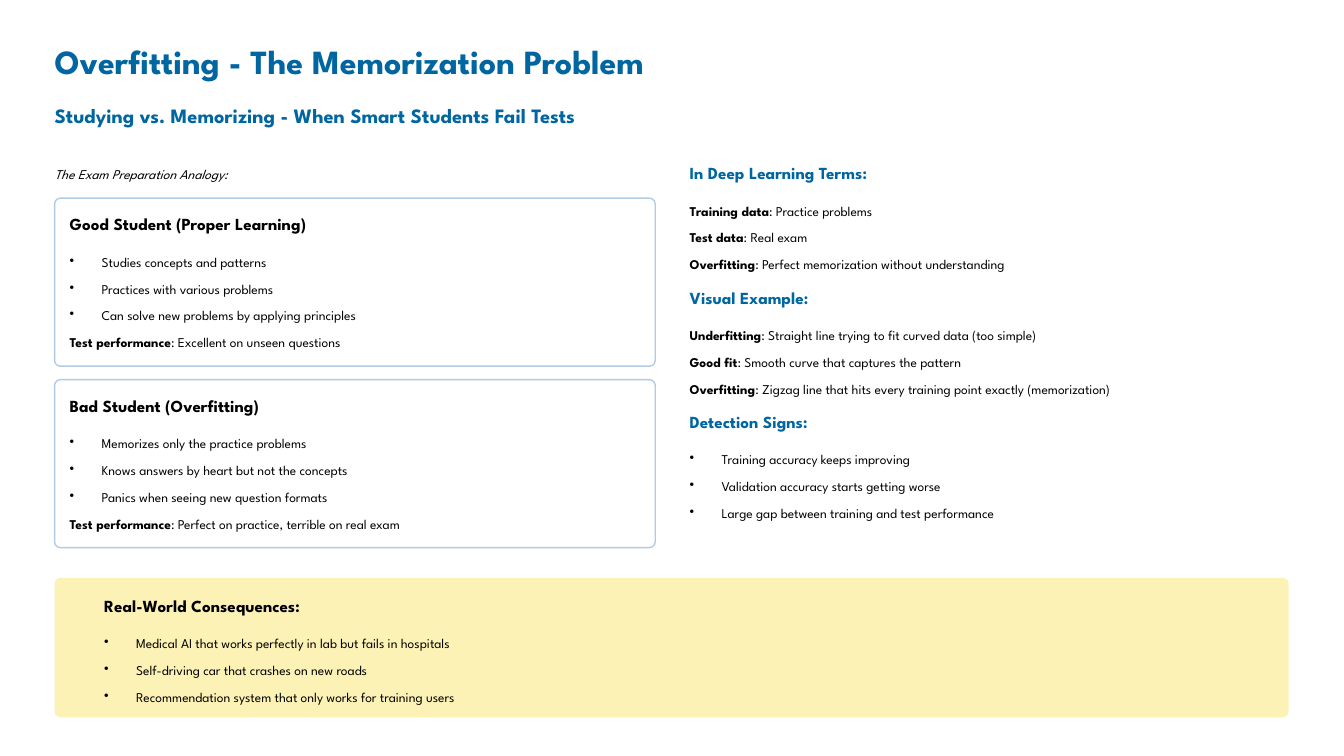
from dataclasses import dataclass

from lxml.etree import SubElement
from pptx import Presentation
from pptx.dml.color import RGBColor
from pptx.enum.shapes import MSO_SHAPE as Shape
from pptx.enum.text import MSO_ANCHOR as Anchor, MSO_AUTO_SIZE as Fit, PP_ALIGN as Align
from pptx.oxml.ns import qn
from pptx.util import Inches, Pt

FONT = "League Spartan"
BLUE, BLACK, WHITE = "0066A1", "000000", "FFFFFF"
EDGE, CREAM = "B2CBE5", "FCF2B5"

deck = Presentation()
deck.slide_width, deck.slide_height = Inches(16), Inches(9)
COL, ROW = deck.slide_width / 16, deck.slide_height / 9
slide = deck.slides.add_slide(deck.slide_layouts[5])

LEFT, RIGHT = 0.65, 8.21  # column edges
WIDE, FULL = 7.15, 14.69
INDENT = 0.38
HEAD = 14.5


@dataclass
class Item:
    text: str
    label: str = ""  # an item without a label gets a bullet


@dataclass
class Block:
    head: str
    items: list[Item]


@dataclass
class Area:
    """A place on the slide in columns and rows."""
    x: float
    y: float
    w: float
    h: float

    def cells(self) -> tuple[int, int, int, int]:
        return int(self.x * COL), int(self.y * ROW), int(self.w * COL), int(self.h * ROW)


def paint(hue: str) -> RGBColor:
    return RGBColor.from_string(hue)


def write(para, text: str, *, size: float = 11.5, hue: str = BLACK, bold: bool = False,
          slant: bool = False, line: float = 18.5, gap: float = 0) -> None:
    """Add a run to a paragraph and set the paragraph's spacing."""
    para.alignment = Align.LEFT
    para.line_spacing, para.space_before = Pt(line), Pt(gap)
    run = para.add_run()
    run.text = text
    font = run.font
    font.name, font.size, font.bold, font.italic = FONT, Pt(size), bold, slant
    font.color.rgb = paint(hue)


def add_dot(para) -> None:
    props = para._p.get_or_add_pPr()
    props.set("marL", str(int(INDENT * COL)))
    props.set("indent", str(int(-INDENT * COL)))
    SubElement(props, qn("a:buChar")).set("char", "•")


def place(area: Area, shape=None):
    """Return the bare text frame of a new box, or of the shape moved to the area."""
    if shape is None:
        shape = slide.shapes.add_textbox(*area.cells())
    else:
        shape.left, shape.top, shape.width, shape.height = area.cells()
    frame = shape.text_frame
    frame.word_wrap, frame.auto_size = True, Fit.NONE
    frame.vertical_anchor = Anchor.TOP
    frame.margin_left = frame.margin_top = frame.margin_right = frame.margin_bottom = 0
    return frame


def add_card(area: Area, curve: float, fill: str, edge: str = "") -> None:
    card = slide.shapes.add_shape(Shape.ROUNDED_RECTANGLE, *area.cells())
    card.shadow.inherit = False
    card.adjustments[0] = curve
    card.fill.solid()
    card.fill.fore_color.rgb = paint(fill)
    if edge:
        card.line.color.rgb = paint(edge)
        card.line.width = Pt(1.2)
    else:
        card.line.fill.background()


def add_block(block: Block, x: float, y: float, w: float, hue: str = BLACK) -> None:
    high = 0.36 + 0.32 * len(block.items)
    frame = place(Area(x, y, w, high))
    write(frame.paragraphs[0], block.head, size=HEAD, hue=hue, bold=True, line=18)
    for spot, item in enumerate(block.items):
        para = frame.add_paragraph()
        gap = 4.4 if spot else 12.2
        if item.label:
            write(para, item.label, bold=True, gap=gap)
        write(para, item.text, gap=gap)
        if not item.label:
            add_dot(para)


STUDENTS = [
    Block("Good Student (Proper Learning)", [
        Item("Studies concepts and patterns"),
        Item("Practices with various problems"),
        Item("Can solve new problems by applying principles"),
        Item(": Excellent on unseen questions", "Test performance")]),
    Block("Bad Student (Overfitting)", [
        Item("Memorizes only the practice problems"),
        Item("Knows answers by heart but not the concepts"),
        Item("Panics when seeing new question formats"),
        Item(": Perfect on practice, terrible on real exam", "Test performance")]),
]
TERMS = [
    Block("In Deep Learning Terms:", [
        Item(": Practice problems", "Training data"),
        Item(": Real exam", "Test data"),
        Item(": Perfect memorization without understanding", "Overfitting")]),
    Block("Visual Example:", [
        Item(": Straight line trying to fit curved data (too simple)", "Underfitting"),
        Item(": Smooth curve that captures the pattern", "Good fit"),
        Item(": Zigzag line that hits every training point exactly (memorization)",
             "Overfitting")]),
    Block("Detection Signs:", [
        Item("Training accuracy keeps improving"),
        Item("Validation accuracy starts getting worse"),
        Item("Large gap between training and test performance")]),
]
RISKS = Block("Real-World Consequences:", [
    Item("Medical AI that works perfectly in lab but fails in hospitals"),
    Item("Self-driving car that crashes on new roads"),
    Item("Recommendation system that only works for training users")])


def main() -> None:
    title = place(Area(LEFT, 0.46, FULL, 0.51), slide.shapes.title)
    write(title.paragraphs[0], "Overfitting - The Memorization Problem",
          size=29, hue=BLUE, bold=True, line=36.5)
    write(place(Area(LEFT, 1.21, FULL, 0.31)).paragraphs[0],
          "Studying vs. Memorizing - When Smart Students Fail Tests",
          size=17.5, hue=BLUE, bold=True, line=22)
    write(place(Area(LEFT, 1.91, WIDE, 0.26)).paragraphs[0],
          "The Exam Preparation Analogy:", slant=True)

    for row, block in enumerate(STUDENTS):
        top = 2.36 + 2.16 * row
        add_card(Area(LEFT, top, WIDE, 2), 0.034, WHITE, EDGE)
        add_block(block, LEFT + 0.18, top + 0.18, WIDE - 0.36)

    for row, block in enumerate(TERMS):
        add_block(block, RIGHT, 1.93 + 1.48 * row, WIDE, BLUE)

    add_card(Area(LEFT, 6.88, FULL, 1.66), 0.041, CREAM)
    add_block(RISKS, 1.24, 7.08, 13.95)
    deck.save("out.pptx")


if __name__ == "__main__":
    main()
